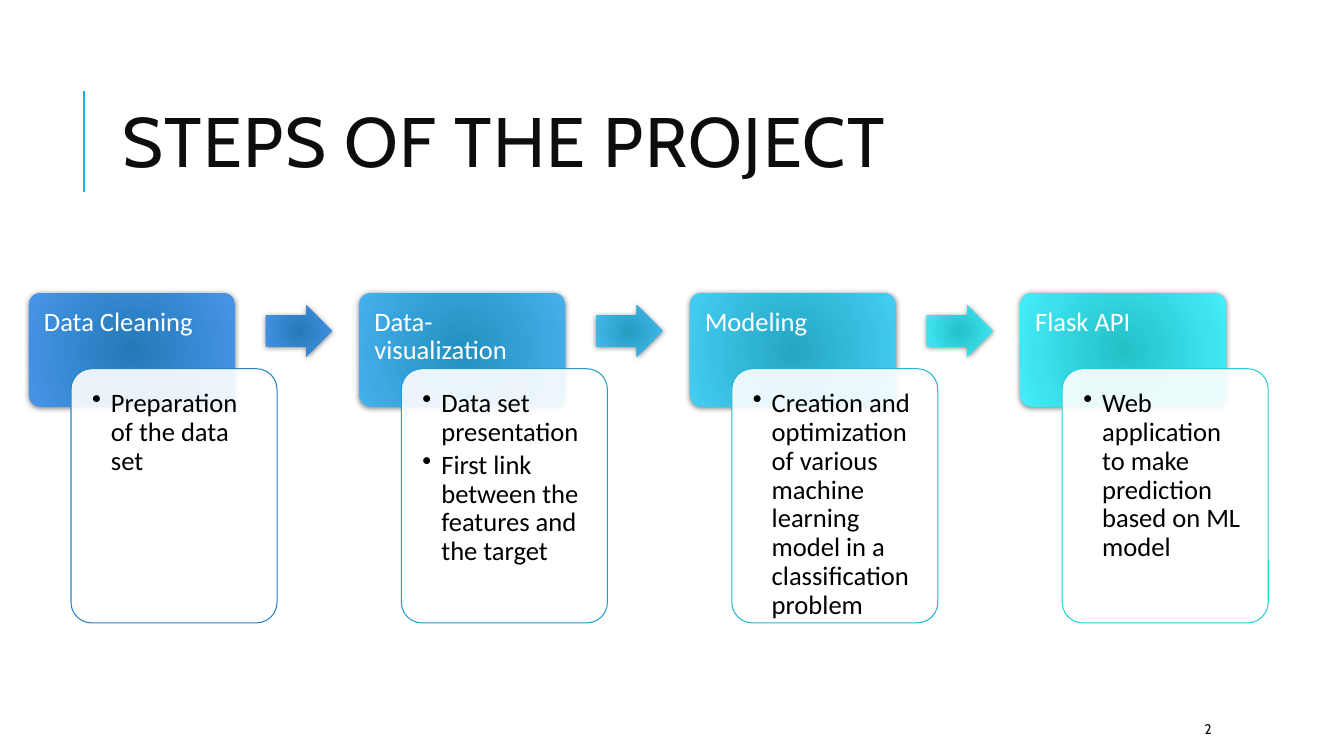
from lxml.etree import SubElement as Sub
from pptx import Presentation
from pptx.dml.color import RGBColor as RGB
from pptx.enum.shapes import MSO_CONNECTOR as Line, MSO_SHAPE as Form
from pptx.enum.text import MSO_ANCHOR as Anchor
from pptx.oxml.ns import qn
from pptx.util import Pt

HUES = {
    "ink": "0D0D0D", "black": "000000", "white": "FFFFFF", "rule": "1CADE4",
    "blue": ("237AB8", "4895E7"), "sky": ("2490BE", "46B0ED"),
    "mid": ("249CC0", "46BEF0"), "teal": ("24A7C3", "45CDF3"),
    "aqua": ("24C0C8", "44EEFA"),
}
SIDES = ("margin_left", "margin_top", "margin_right", "margin_bottom")


def rgb(hue):
    return RGB.from_string(HUES.get(hue, hue))


def apply(item, vals):
    for key, val in vals.items():
        setattr(item, key, val)


class Deck:
    base = {"font": "Calibri", "size": 19, "hue": "black", "pad": (10.8,) * 4,
            "anchor": Anchor.TOP, "lead": 0.9, "after": 0, "track": 0,
            "bullet": False}

    def __init__(self, wide, high):
        self.prs = Presentation()
        apply(self.prs, {"slide_width": Pt(wide), "slide_height": Pt(high)})
        self.slide = self.prs.slides.add_slide(self.prs.slide_layouts[6])
        self.shapes = self.slide.shapes

    def rule(self, x1, y1, x2, y2, hue, width):
        line = self.shapes.add_connector(
            Line.STRAIGHT, Pt(x1), Pt(y1), Pt(x2), Pt(y2))
        line.line.color.rgb = rgb(hue)
        line.line.width = Pt(width)
        Sub(line._element.spPr, qn("a:effectLst"))

    def shape(self, form, box, adj):
        item = self.shapes.add_shape(form, *map(Pt, box))
        item.shadow.inherit = False
        for i, val in enumerate(adj):
            item.adjustments[i] = val
        return item

    def glow(self, form, box, adj, pair):
        """Shape with a radial gradient and a soft shadow."""
        item = self.shape(form, box, adj)
        item.line.fill.background()
        item.fill.gradient()
        for stop, hue in zip(item.fill.gradient_stops, HUES[pair]):
            stop.color.rgb = rgb(hue)
        props = item._element.spPr
        grad = props.find(qn("a:gradFill"))
        grad.remove(grad.find(qn("a:lin")))
        ring = Sub(grad, qn("a:path"), {"path": "circle"})
        Sub(ring, qn("a:fillToRect"), dict.fromkeys("ltrb", "100000"))
        shade = Sub(props.find(qn("a:effectLst")), qn("a:outerShdw"), {
            "blurRad": str(Pt(4)), "dist": str(Pt(1)), "dir": "5400000",
            "rotWithShape": "0"})
        tint = Sub(shade, qn("a:srgbClr"), {"val": HUES["black"]})
        Sub(tint, qn("a:alpha"), {"val": "50000"})

    def card(self, box, edge):
        """Outlined, slightly clear white card."""
        item = self.shape(Form.ROUNDED_RECTANGLE, box, [0.1])
        item.fill.solid()
        item.fill.fore_color.rgb = rgb("white")
        tint = item._element.spPr.find(qn("a:solidFill"))[0]
        Sub(tint, qn("a:alpha"), {"val": "90000"})
        item.line.color.rgb = rgb(edge)
        item.line.width = Pt(0.75)

    def text(self, box, lines, **style):
        look = self.base | style
        frame = self.shapes.add_textbox(*map(Pt, box)).text_frame
        apply(frame, {"word_wrap": True, "vertical_anchor": look["anchor"]})
        apply(frame, dict(zip(SIDES, map(Pt, look["pad"]))))
        for i, words in enumerate(lines):
            para = frame.add_paragraph() if i else frame.paragraphs[0]
            apply(para, {"line_spacing": look["lead"],
                         "space_after": Pt(look["after"])})
            run = para.add_run()
            run.text = words
            apply(run.font, {"name": look["font"], "size": Pt(look["size"])})
            run.font.color.rgb = rgb(look["hue"])
            if look["track"]:
                run._r.get_or_add_rPr().set("spc", str(look["track"]))
            if look["bullet"]:
                props = para._p.get_or_add_pPr()
                props.set("marL", str(Pt(13.5)))
                props.set("indent", str(-Pt(13.5)))
                Sub(props, qn("a:buChar"), {"char": "•"})


STEPS = [  # heading, points, box hue, card edge, hue of the next arrow
    ("Data Cleaning", ["Preparation of the data set"],
     "blue", "2683C6", "blue"),
    ("Data-visualization",
     ["Data set presentation",
      "First link between the features and the target"],
     "sky", "269BCC", "mid"),
    ("Modeling",
     ["Creation and optimization of various machine learning model "
      "in a classification problem"],
     "teal", "27B4D1", "aqua"),
    ("Flask API", ["Web application to make prediction based on ML model"],
     "aqua", "27CED7", None),
]


def main():
    deck = Deck(960, 540)
    edge = {"font": "Cabin", "hue": "ink", "anchor": Anchor.MIDDLE,
            "pad": (7.2, 3.6, 7.2, 3.6)}

    # Title
    deck.rule(60, 136.8, 60, 65, "rule", 1.5)
    deck.text((80.6, 46, 765.4, 118), ["STEPS OF THE PROJECT"],
              **edge, size=50, lead=0.8, track=100)

    # Steps
    left, gap, top, wide = 20.6, 236, 209.4, 147.2
    for i, (head, notes, hue, rim, next_hue) in enumerate(STEPS):
        x = left + i * gap
        deck.glow(Form.ROUNDED_RECTANGLE, (x, top, wide, 81), [0.1], hue)
        deck.text((x, top, wide, 54), [head], hue="white",
                  pad=(10.8, 10.8, 10.8, 5.4))
        deck.card((x + 30.1, top + 54, wide, 181.6), rim)
        deck.text((x + 34.4, top + 58.3, wide - 8.6, 173), notes,
                  bullet=True, after=2.85)
        if next_hue:
            deck.glow(Form.RIGHT_ARROW, (x + 169.3, top + 8.6, 47.3, 36.7),
                      [0.6, 0.5], next_hue)

    # Slide number
    deck.text((853.2, 509.8, 76.3, 21.6), ["2"], **edge, size=10, lead=1.0)
    deck.prs.save("out.pptx")


if __name__ == "__main__":
    main()
